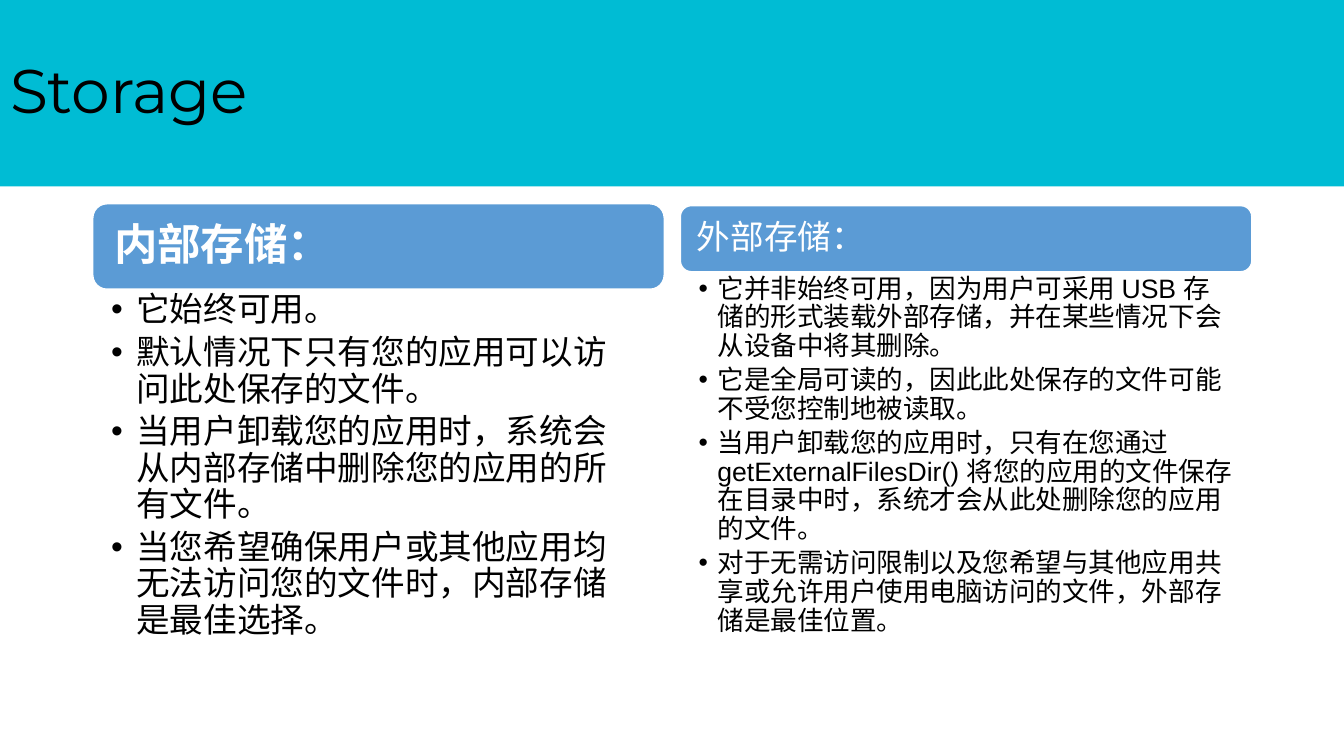
from lxml.etree import SubElement
from pptx import Presentation
from pptx.dml.color import RGBColor
from pptx.enum.shapes import MSO_SHAPE
from pptx.enum.text import MSO_ANCHOR, MSO_AUTO_SIZE, PP_ALIGN
from pptx.oxml.ns import qn
from pptx.util import Pt

COLUMN_WIDTH = 408.2
INTERNAL = [
    "它始终可用。",
    "默认情况下只有您的应用可以访问此处保存的文件。",
    "当用户卸载您的应用时，系统会从内部存储中删除您的应用的所有文件。",
    "当您希望确保用户或其他应用均无法访问您的文件时，内部存储是最佳选择。",
]
EXTERNAL = [
    "它并非始终可用，因为用户可采用 USB 存储的形式装载外部存储，并在某些情况下会从设备中将其删除。",
    "它是全局可读的，因此此处保存的文件可能不受您控制地被读取。",
    "当用户卸载您的应用时，只有在您通过 getExternalFilesDir() 将您的应用的文件保存在目录中时，系统才会从此处删除您的应用的文件。",
    "对于无需访问限制以及您希望与其他应用共享或允许用户使用电脑访问的文件，外部存储是最佳位置。",
]


def color(hex_value):
    return RGBColor.from_string(hex_value)


def place(shape, left, top, width, height):
    shape.left, shape.top = Pt(left), Pt(top)
    shape.width, shape.height = Pt(width), Pt(height)


def set_frame(frame, anchor, left, top, right, bottom):
    frame.word_wrap = True
    frame.auto_size = MSO_AUTO_SIZE.NONE
    frame.vertical_anchor = anchor
    frame.margin_left, frame.margin_top = Pt(left), Pt(top)
    frame.margin_right, frame.margin_bottom = Pt(right), Pt(bottom)


def write(paragraph, text, size, hex_value, font="Arial", bold=False):
    paragraph.alignment = PP_ALIGN.LEFT
    paragraph.line_spacing = 0.9
    paragraph.space_before = Pt(0)
    run = paragraph.add_run()
    run.text = text
    run.font.name = font
    run.font.size = Pt(size)
    run.font.bold = bold
    run.font.color.rgb = color(hex_value)


def add_bullet(paragraph, indent):
    properties = paragraph._p.get_or_add_pPr()
    properties.set("marL", str(Pt(indent)))
    properties.set("indent", str(-Pt(indent)))
    SubElement(properties, qn("a:buFont"), typeface="Arial")
    SubElement(properties, qn("a:buChar"), char="•")


def fill_title(title, text):
    place(title, 0, 0, 960, 133.2)
    title.fill.solid()
    title.fill.fore_color.rgb = color("00BCD4")
    set_frame(title.text_frame, MSO_ANCHOR.MIDDLE, 7.2, 3.6, 7.2, 3.6)
    write(title.text_frame.paragraphs[0], text, 44, "000000", "Montserrat")


def add_heading(slide, text, left, top, height, size, inset, bold=False):
    heading = slide.shapes.add_shape(
        MSO_SHAPE.ROUNDED_RECTANGLE, Pt(left), Pt(top), Pt(COLUMN_WIDTH), Pt(height))
    heading.shadow.inherit = False
    heading.fill.solid()
    heading.fill.fore_color.rgb = color("5B9BD5")
    heading.line.color.rgb = color("FFFFFF")
    heading.line.width = Pt(1)
    # The inset is measured from inside the rounded corners
    set_frame(heading.text_frame, MSO_ANCHOR.MIDDLE, inset, inset, inset, inset)
    write(heading.text_frame.paragraphs[0], text, size, "FFFFFF", bold=bold)


def fill_list(body, items, left, top, height, size, indent, right_inset):
    place(body, left, top, COLUMN_WIDTH, height)
    frame = body.text_frame
    set_frame(frame, MSO_ANCHOR.TOP, 13, 2.5, right_inset, 2.5)
    for index, item in enumerate(items):
        paragraph = frame.add_paragraph() if index else frame.paragraphs[0]
        paragraph.level = 1
        add_bullet(paragraph, indent)
        paragraph.space_after = Pt(size * 0.2)
        write(paragraph, item, size, "000000")


def main():
    deck = Presentation()
    deck.slide_width, deck.slide_height = Pt(960), Pt(540)
    slide = deck.slides.add_slide(deck.slide_layouts[3])
    title, internal, external = slide.placeholders

    fill_title(title, "Storage")

    # Internal storage column
    add_heading(slide, "内部存储：", 66.3, 145.6, 61, 31, 12.2, bold=True)
    fill_list(internal, INTERNAL, 66.3, 206.6, 278, 24, 18, 17.3)

    # External storage column
    add_heading(slide, "外部存储：", 486, 146.9, 47.2, 24, 9.5)
    fill_list(external, EXTERNAL, 486, 194.1, 289.5, 19, 13.5, 13.5)

    deck.save("out.pptx")


if __name__ == "__main__":
    main()
